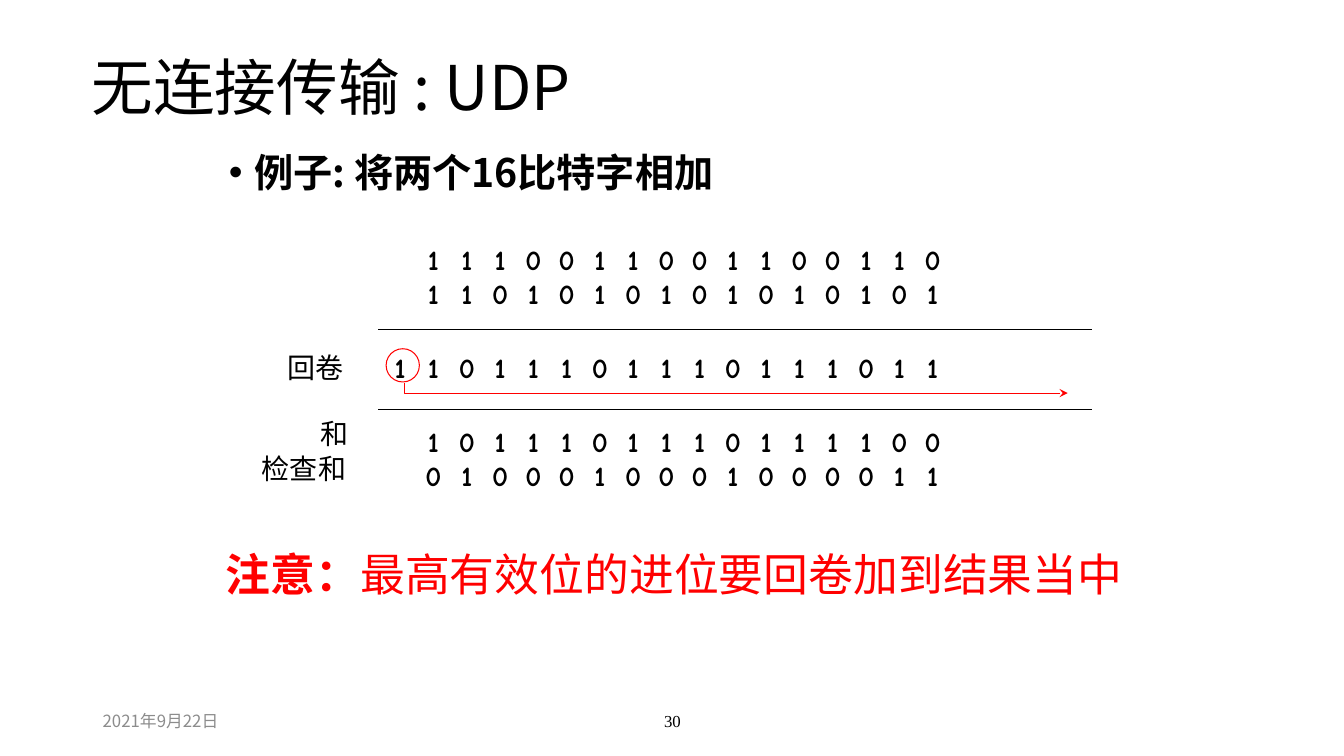
from lxml import etree
from pptx import Presentation
from pptx import util as u
from pptx.dml.color import RGBColor
from pptx.enum import shapes, text
from pptx.oxml.ns import qn

CJK = "Noto Sans CJK SC"
BLACK, RED, GREY = "000000", "FF0000", "8C8C8C"
LEFT, CENTER = text.PP_ALIGN.LEFT, text.PP_ALIGN.CENTER
TOP, MIDDLE = text.MSO_ANCHOR.TOP, text.MSO_ANCHOR.MIDDLE

# Each row: first column (0 is the carry column), bits, space before in points
BIT_ROWS = [
    (1, "1110011001100110", 0),
    (1, "1101010101010101", 0),
    (0, "11011101110111011", 29),
    (1, "1011101110111100", 29),
    (1, "0100010001000011", 0),
]
BIT_PITCH = 0.33
LABELS = [
    ("回卷", 2.75, 3.43, 0.76),
    ("和", 3.08, 4.08, 0.48),
    ("检查和", 2.5, 4.43, 1.03),
]


def color(value):
    return RGBColor.from_string(value)


def place(sp, left, top, width, height):
    sp.left, sp.top = u.Inches(left), u.Inches(top)
    sp.width, sp.height = u.Inches(width), u.Inches(height)


def setup_frame(sp, anchor=TOP, wrap=True):
    tf = sp.text_frame
    tf.auto_size = text.MSO_AUTO_SIZE.NONE
    tf.word_wrap = wrap
    tf.vertical_anchor = anchor
    return tf


def add_textbox(slide, box, anchor=TOP, wrap=True):
    sp = slide.shapes.add_textbox(*map(u.Inches, box))
    return setup_frame(sp, anchor, wrap)


def format_paragraph(p, align=LEFT, spacing=1.0, before=0):
    p.alignment = align
    p.line_spacing = spacing
    p.space_before = u.Pt(before)


def add_run(p, words, size, font=CJK, ink=BLACK, bold=False):
    r = p.add_run()
    r.text = words
    r.font.size = u.Pt(size)
    r.font.name = font
    r.font.bold = bold
    r.font.color.rgb = color(ink)
    east_asian = etree.SubElement(r.font._element, qn("a:ea"))
    east_asian.set("typeface", CJK)


def set_indent(p, inches, bullet=None):
    pPr = p._p.get_or_add_pPr()
    pPr.set("marL", str(u.Inches(inches)))
    pPr.set("indent", str(-u.Inches(inches)))
    if bullet:
        etree.SubElement(pPr, qn("a:buChar")).set("char", bullet)


def set_bit_tabs(p, start, count):
    tabs = etree.SubElement(p._p.get_or_add_pPr(), qn("a:tabLst"))
    for column in range(start, start + count):
        tab = etree.SubElement(tabs, qn("a:tab"))
        tab.set("pos", str(u.Inches(0.14 + BIT_PITCH * column)))
        tab.set("algn", "ctr")


def add_bits(slide):
    tf = add_textbox(slide, (3.83, 2.36, 7, 2.59))
    tf.margin_left = 0
    for i, (start, bits, before) in enumerate(BIT_ROWS):
        p = tf.paragraphs[0] if i == 0 else tf.add_paragraph()
        format_paragraph(p, before=before)
        set_bit_tabs(p, start, len(bits))
        add_run(p, "".join("\t" + bit for bit in bits), 20, "Comic Neue", bold=True)


def add_rule(slide, y):
    line = slide.shapes.add_connector(
        shapes.MSO_CONNECTOR.STRAIGHT,
        u.Inches(3.75), u.Inches(y), u.Inches(10.83), u.Inches(y))
    line.line.color.rgb = color(BLACK)
    line.line.width = u.Pt(1)
    etree.SubElement(line._element.spPr, qn("a:effectLst"))


def outline(sp, ink, width):
    sp.fill.background()
    sp.line.color.rgb = color(ink)
    sp.line.width = u.Pt(width)
    sp.shadow.inherit = False


def add_carry_mark(slide):
    # Ring around the carry bit
    ring = slide.shapes.add_shape(
        shapes.MSO_SHAPE.OVAL, *map(u.Inches, (3.83, 3.46, 0.33, 0.33)))
    outline(ring, RED, 0.75)
    # Elbow arrow from the ring to the low end of the word
    points = [(u.Inches(x), u.Inches(y))
              for x, y in ((4.01, 3.8), (4.01, 3.9), (10.59, 3.9))]
    builder = slide.shapes.build_freeform(*points[0])
    builder.add_line_segments(points[1:], close=False)
    arrow = builder.convert_to_shape()
    outline(arrow, RED, 0.75)
    ln = arrow._element.spPr.find(qn("a:ln"))
    etree.SubElement(ln, qn("a:tailEnd")).set("type", "stealth")


def add_footer(slide, words, box, align, font, ink):
    p = add_textbox(slide, box, MIDDLE).paragraphs[0]
    format_paragraph(p, align)
    add_run(p, words, 12, font, ink)


def main():
    prs = Presentation()
    prs.slide_width, prs.slide_height = u.Inches(13.33), u.Inches(7.5)
    slide = prs.slides.add_slide(prs.slide_layouts[1])

    # Title and bullet
    title, body = slide.shapes.title, slide.placeholders[1]
    place(title, 0.81, 0.17, 11.5, 1.45)
    p = setup_frame(title, MIDDLE).paragraphs[0]
    format_paragraph(p, spacing=0.9)
    add_run(p, "无连接传输 : UDP", 44)
    place(body, 2.17, 1.47, 9, 0.71)
    p = setup_frame(body).paragraphs[0]
    format_paragraph(p, spacing=0.9)
    set_indent(p, 0.25, "•")
    add_run(p, "例子: 将两个16比特字相加", 28, bold=True)

    # Binary addition
    add_bits(slide)
    for y in (3.27, 4.06):
        add_rule(slide, y)
    add_carry_mark(slide)
    for words, left, top, width in LABELS:
        p = add_textbox(slide, (left, top, width, 0.43), wrap=False).paragraphs[0]
        format_paragraph(p)
        add_run(p, words, 20, "Arial")

    # Note
    p = add_textbox(slide, (2.14, 5.48, 9.33, 0.71)).paragraphs[0]
    format_paragraph(p, spacing=0.8)
    set_indent(p, 0.38)
    add_run(p, "注意：", 32, "Arial", RED, bold=True)
    add_run(p, "最高有效位的进位要回卷加到结果当中", 32, "Arial", RED)

    # Date and slide number
    add_footer(slide, "2021年9月22日", (0.92, 6.95, 3, 0.4), LEFT, CJK, GREY)
    add_footer(slide, "30", (4.42, 6.95, 4.5, 0.4), CENTER, "Times New Roman", BLACK)

    prs.save("out.pptx")


if __name__ == "__main__":
    main()
